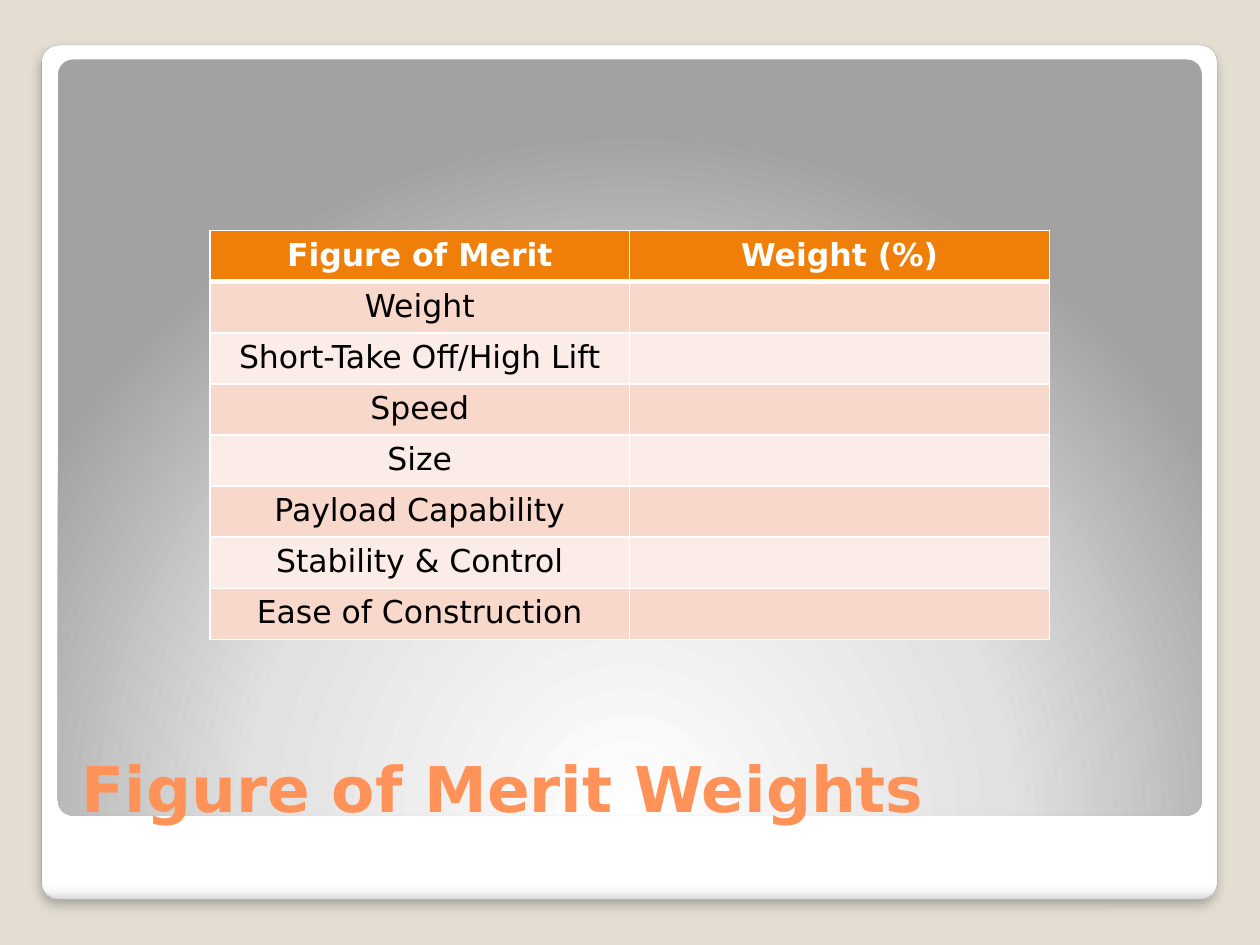
from dataclasses import dataclass

from lxml.etree import SubElement
from pptx import Presentation
from pptx.dml.color import RGBColor
from pptx.enum.shapes import MSO_SHAPE
from pptx.enum.text import MSO_ANCHOR, PP_ALIGN
from pptx.oxml.ns import qn
from pptx.util import Cm, Pt


@dataclass(frozen=True)
class Theme:
    font: str = "DejaVu Sans"
    title_size: int = 36
    table_size: int = 18
    background: str = "E3DED1"
    title: str = "FF9258"
    header: str = "F07F09"
    header_text: str = "FFFFFF"
    body_text: str = "000000"
    bands: tuple = ("F9D8CC", "FCECE7")
    border: str = "FFFFFF"
    frame_line: str = "A4A4A4"
    shadow: str = "000000"
    frame_stops: tuple = ((0, "FFFFFF"), (98, "FFFFFF"), (99, "F7F7F7"), (100, "DADADA"))
    panel_stops: tuple = ((0, "FFFFFF"), (55, "E1E1E1"), (100, "A2A2A2"))


THEME = Theme()
HEADERS = ("Figure of Merit", "Weight (%)")
MERITS = (
    "Weight",
    "Short-Take Off/High Lift",
    "Speed",
    "Size",
    "Payload Capability",
    "Stability & Control",
    "Ease of Construction",
)


def add_element(parent, tag, **attributes):
    element = SubElement(parent, qn(tag))
    for name, value in attributes.items():
        element.set(name, str(value))
    return element


def set_format(target, values):
    for name, value in values.items():
        setattr(target, name, value)


def write_text(text_frame, text, size, color, bold, alignment):
    paragraph = text_frame.paragraphs[0]
    paragraph.alignment = alignment
    run = paragraph.add_run()
    run.text = text
    set_format(run.font, {"name": THEME.font, "size": Pt(size), "bold": bold})
    run.font.color.rgb = RGBColor.from_string(color)


def add_rounded_panel(slide, left, top, width, height, stops):
    """Add a rounded rectangle; return it with its still undirected gradient."""
    shape = slide.shapes.add_shape(
        MSO_SHAPE.ROUNDED_RECTANGLE, Cm(left), Cm(top), Cm(width), Cm(height)
    )
    shape.adjustments[0] = 0.02
    shape.shadow.inherit = False
    shape.line.fill.background()
    shape.fill.background()
    properties = shape.fill._xPr
    gradient = add_element(properties, "a:gradFill", rotWithShape=1)
    properties.replace(properties.find(qn("a:noFill")), gradient)
    stop_list = add_element(gradient, "a:gsLst")
    for position, color in stops:
        stop = add_element(stop_list, "a:gs", pos=position * 1000)
        add_element(stop, "a:srgbClr", val=color)
    return shape, gradient


def add_frame(slide):
    shape, gradient = add_rounded_panel(slide, 0.84, 0.91, 23.7, 17.22, THEME.frame_stops)
    add_element(gradient, "a:lin", ang=90 * 60000, scaled=0)
    shape.line.color.rgb = RGBColor.from_string(THEME.frame_line)
    shape.line.width = Pt(0.16)
    effects = shape.fill._xPr.find(qn("a:effectLst"))
    shadow = add_element(
        effects, "a:outerShdw", blurRad=Pt(6), dist=Pt(4), dir=90 * 60000, rotWithShape=0
    )
    color = add_element(shadow, "a:srgbClr", val=THEME.shadow)
    add_element(color, "a:alpha", val=25000)


def add_glow_panel(slide):
    _, gradient = add_rounded_panel(slide, 1.17, 1.2, 23.06, 15.24, THEME.panel_stops)
    glow = add_element(gradient, "a:path", path="circle")
    add_element(glow, "a:fillToRect", l=50000, t=175000, r=50000, b=-75000)


def add_title(slide, text):
    box = slide.shapes.add_textbox(Cm(1.4), Cm(13.84), Cm(24.13), Cm(2.92))
    set_format(box.text_frame, {"word_wrap": True, "vertical_anchor": MSO_ANCHOR.BOTTOM})
    write_text(box.text_frame, text, THEME.title_size, THEME.title, True, PP_ALIGN.LEFT)


def set_borders(cell, top, bottom):
    properties = cell._tc.get_or_add_tcPr()
    for side, width in (("L", 1), ("R", 1), ("T", top), ("B", bottom)):
        line = add_element(properties, f"a:ln{side}", w=Pt(width))
        fill = add_element(line, "a:solidFill")
        add_element(fill, "a:srgbClr", val=THEME.border)


def add_merit_table(slide):
    rows = [HEADERS] + [(merit, "") for merit in MERITS]
    table = slide.shapes.add_table(
        len(rows), len(HEADERS), Cm(4.23), Cm(4.65), Cm(16.93), Cm(8.24)
    ).table
    set_format(table, {"first_row": False, "horz_banding": False})
    for row_index, texts in enumerate(rows):
        is_header = row_index == 0
        fill = THEME.header if is_header else THEME.bands[(row_index - 1) % 2]
        color = THEME.header_text if is_header else THEME.body_text
        for column_index, text in enumerate(texts):
            cell = table.cell(row_index, column_index)
            set_borders(cell, 3 if row_index == 1 else 1, 3 if is_header else 1)
            cell.fill.solid()
            cell.fill.fore_color.rgb = RGBColor.from_string(fill)
            if text:
                write_text(
                    cell.text_frame, text, THEME.table_size, color, is_header, PP_ALIGN.CENTER
                )


def main():
    presentation = Presentation()
    set_format(presentation, {"slide_width": Cm(25.4), "slide_height": Cm(19.05)})
    slide = presentation.slides.add_slide(presentation.slide_layouts[6])
    slide.background.fill.solid()
    slide.background.fill.fore_color.rgb = RGBColor.from_string(THEME.background)
    add_frame(slide)
    add_glow_panel(slide)
    add_title(slide, "Figure of Merit Weights")
    add_merit_table(slide)
    presentation.save("out.pptx")


if __name__ == "__main__":
    main()
